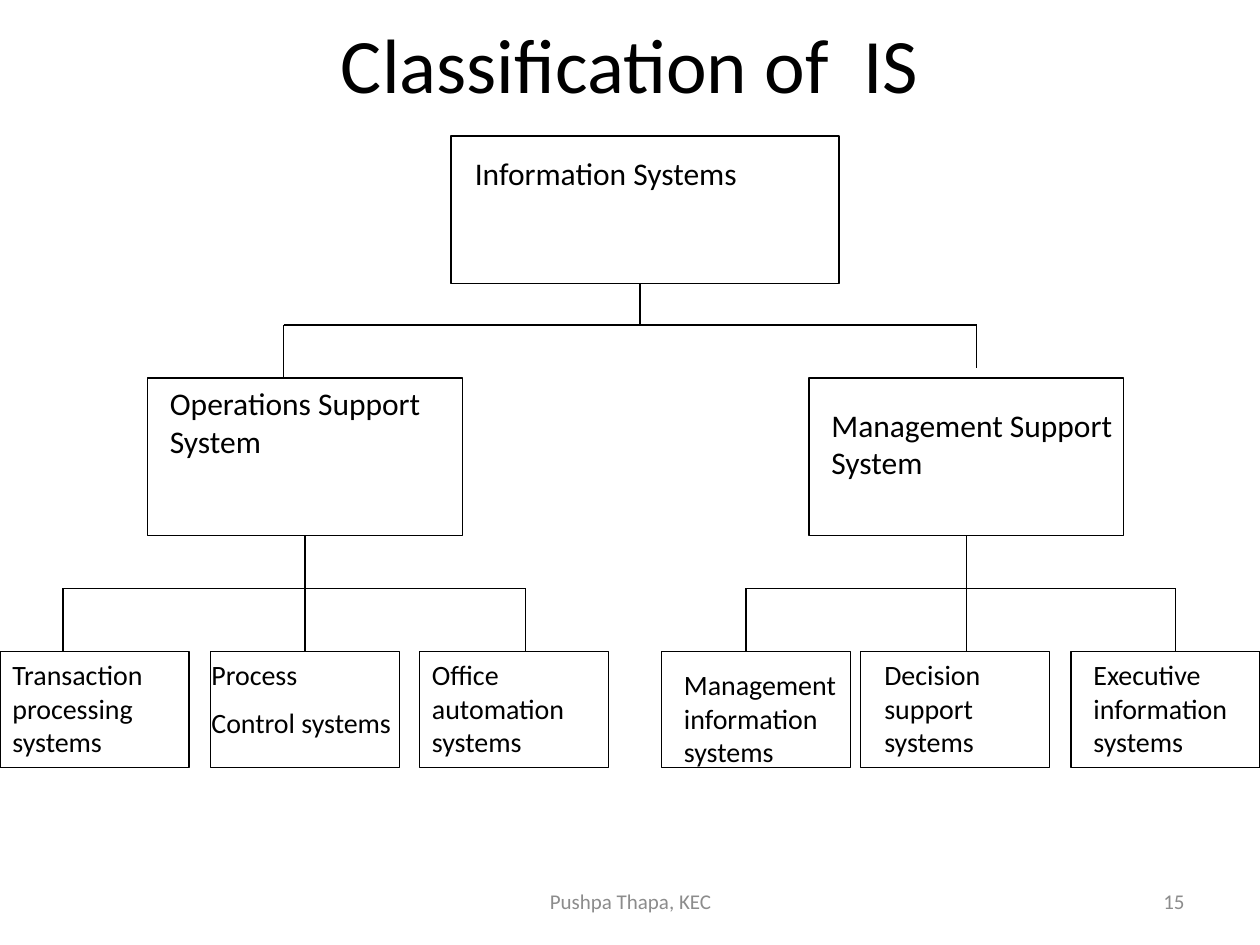
from pptx import Presentation
from pptx.dml.color import RGBColor
from pptx.enum.shapes import MSO_CONNECTOR, MSO_SHAPE
from pptx.enum.text import MSO_ANCHOR, PP_ALIGN
from pptx.oxml.ns import qn
from pptx.util import Inches, Pt
from lxml.etree import SubElement

BOTTOM, TOP = 2, 0


def rgb(value):
    return RGBColor.from_string(value)


class Deck:
    font, ink, grey, line_width = "Calibri", "000000", "8C8C8C", 0.75

    def __init__(self, slide):
        self.s = slide

    def outline(self, sp):
        sp.line.color.rgb = rgb(self.ink)
        sp.line.width = Pt(self.line_width)

    def box(self, x, y, w, h):
        sp = self.s.shapes.add_shape(MSO_SHAPE.RECTANGLE, *map(Inches, (x, y, w, h)))
        sp.shadow.inherit = False
        sp.fill.background()
        self.outline(sp)
        return sp

    def text(self, text, x, y, w, h, size, color=ink,
             align=PP_ALIGN.LEFT, anchor=MSO_ANCHOR.TOP):
        tf = self.s.shapes.add_textbox(*map(Inches, (x, y, w, h))).text_frame
        for name, value in dict(word_wrap=True, vertical_anchor=anchor).items():
            setattr(tf, name, value)
        for i, line in enumerate(text.split("\n")):
            p = tf.add_paragraph() if i else tf.paragraphs[0]
            p.alignment = align
            if i:
                p.space_before = Pt(size / 2)
            r = p.add_run()
            r.text = line
            for name, value in dict(name=self.font, size=Pt(size)).items():
                setattr(r.font, name, value)
            r.font.color.rgb = rgb(color)

    def line(self, x1, y1, x2, y2, start=None, end=None):
        cxn = self.s.shapes.add_connector(
            MSO_CONNECTOR.STRAIGHT, *map(Inches, (x1, y1, x2, y2)))
        self.outline(cxn)
        SubElement(cxn._element.spPr, qn("a:effectLst"))
        if start is not None:
            cxn.begin_connect(start, BOTTOM)
        if end is not None:
            cxn.end_connect(end, TOP)

    def bracket(self, left, right, y, left_end, right_end):
        self.line(left, y, right, y)
        self.line(left, y, left, left_end)
        self.line(right, y, right, right_end)


def main():
    prs = Presentation()
    prs.slide_width, prs.slide_height = Inches(10), Inches(7.5)
    d = Deck(prs.slides.add_slide(prs.slide_layouts[6]))

    # Title
    d.text("Classification of  IS", 0.75, 0, 8.5, 1, 44,
           align=PP_ALIGN.CENTER, anchor=MSO_ANCHOR.MIDDLE)

    # Root
    d.box(3.58, 1.08, 3.08, 1.17)
    d.text("Information Systems", 3.67, 1.17, 3, 0.5, 18)

    # Two support systems
    operations, management = [d.box(x, 3, 2.5, 1.25) for x in (1.17, 6.42)]
    d.text("Operations Support System", 1.25, 3, 2.75, 0.9, 18)
    d.text("Management Support System", 6.5, 3.17, 2.58, 0.9, 18)

    # Six systems: box left, then text left, top, width
    leaf_y = 5.17
    leaves = [
        ("Transaction processing systems", 0, 0, leaf_y, 1.75),
        ("Process\nControl systems", 1.67, 1.58, leaf_y, 1.67),
        ("Office automation systems", 3.33, 3.33, leaf_y, 1.42),
        ("Management information systems", 5.25, 5.33, 5.25, 1.42),
        ("Decision support systems", 6.83, 6.92, leaf_y, 1.25),
        ("Executive information systems", 8.5, 8.58, leaf_y, 1.42),
    ]
    boxes = []
    for label, box_x, text_x, text_y, text_w in leaves:
        boxes.append(d.box(box_x, leaf_y, 1.5, 0.92))
        d.text(label, text_x, text_y, text_w, 0.9, 16)

    # Branches
    d.line(5.08, 2.25, 5.08, 2.58)
    d.bracket(2.25, 7.75, 2.58, 3, 2.92)
    d.bracket(0.5, 4.17, 4.67, leaf_y, leaf_y)
    d.bracket(5.92, 9.33, 4.67, leaf_y, leaf_y)
    d.line(2.42, 4.25, 2.42, leaf_y, start=operations, end=boxes[1])
    d.line(7.67, 4.25, 7.67, leaf_y, start=management)

    # Footer
    d.text("Pushpa Thapa, KEC", 3.42, 6.95, 3.17, 0.4, 12, d.grey,
           PP_ALIGN.CENTER, MSO_ANCHOR.MIDDLE)
    d.text("15", 7.17, 6.95, 2.33, 0.4, 12, d.grey,
           PP_ALIGN.RIGHT, MSO_ANCHOR.MIDDLE)

    prs.save("out.pptx")


if __name__ == "__main__":
    main()
